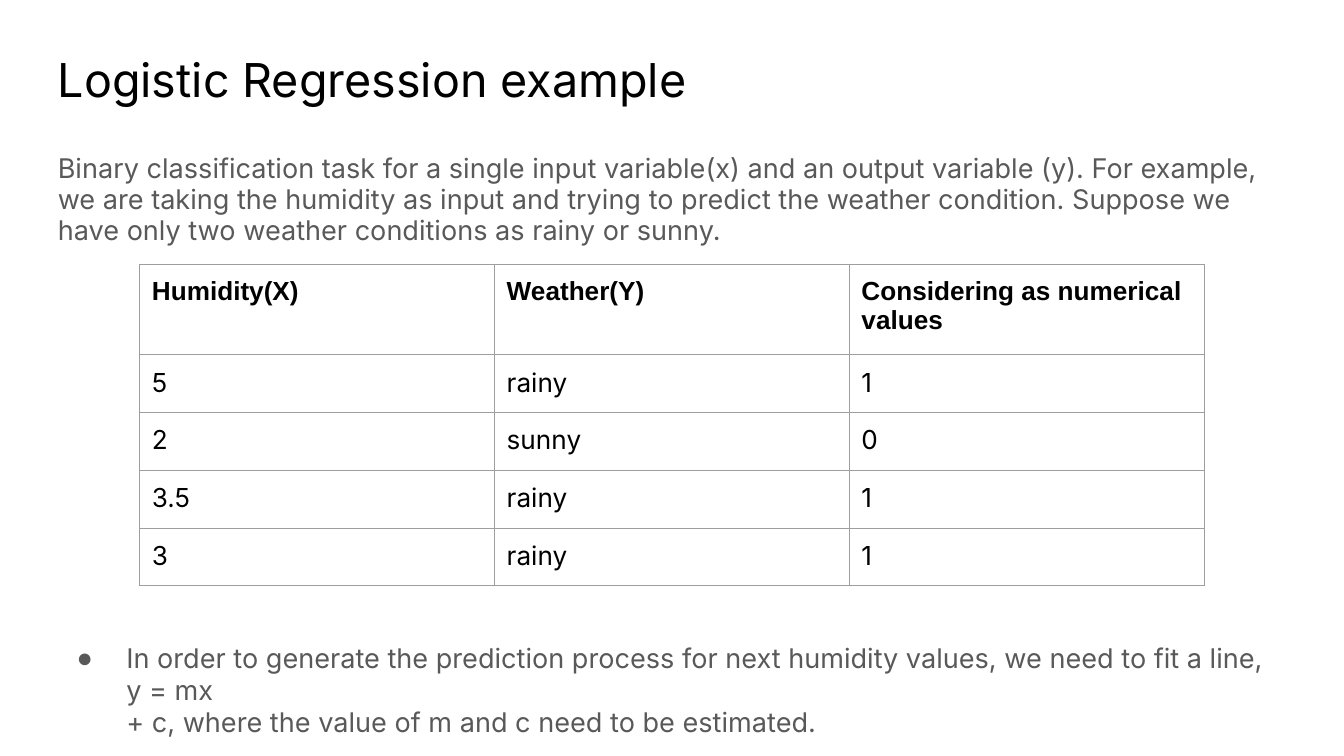
from dataclasses import dataclass

import lxml.etree
import pptx
import pptx.dml.color
import pptx.oxml.ns
import pptx.util

BLACK = pptx.dml.color.RGBColor(0x00, 0x00, 0x00)
GRAY = pptx.dml.color.RGBColor(0x59, 0x59, 0x59)
BORDER = pptx.dml.color.RGBColor(0x9E, 0x9E, 0x9E)
Inches = pptx.util.Inches
qn = pptx.oxml.ns.qn

HEADER = ("Humidity(X)", "Weather(Y)", "Considering as numerical values")
OBSERVATIONS = (
    ("5", "rainy", "1"),
    ("2", "sunny", "0"),
    ("3.5", "rainy", "1"),
    ("3", "rainy", "1"),
)


@dataclass(frozen=True)
class TextBlock:
    left: float
    top: float
    width: float
    height: float
    lines: tuple[str, ...]
    size: float
    color: pptx.dml.color.RGBColor
    inset: float
    space_before: float
    line_spacing: float | None = None
    margin: float = 0.01
    bullet_indent: float = 0


BLOCKS = (
    TextBlock(0.42, 0.36, 8.99, 0.65, ("Logistic Regression example",),
              25, BLACK, 0.02, 1.2),
    TextBlock(0.42, 1.11, 9.09, 0.73, (
        "Binary classification task for a single input variable(x) and an output "
        "variable (y). For example, we are taking the humidity as input and trying "
        "to predict the weather condition. Suppose we have only two weather "
        "conditions as rainy or sunny.",), 14.5, GRAY, 0.03, 2.3, 16.6),
    TextBlock(0.55, 4.76, 8.98, 0.5, (
        "In order to generate the prediction process for next humidity values, "
        "we need to fit a line, y = mx",
        "+ c, where the value of m and c need to be estimated."),
        14.5, GRAY, 0.02, 1.1, 17, 0.39, -0.37),
)


def set_insets(holder, top: float) -> None:
    holder.margin_left = holder.margin_right = holder.margin_bottom = 0
    holder.margin_top = Inches(top)


def style_paragraph(paragraph, font: str, size: float, color: pptx.dml.color.RGBColor,
                    margin: float, indent: float = 0, bold: bool = False) -> None:
    paragraph.font.name = font
    paragraph.font.size = pptx.util.Pt(size)
    paragraph.font.color.rgb = color
    paragraph.font.bold = bold
    properties = paragraph._p.get_or_add_pPr()
    properties.set("marL", str(Inches(margin)))
    properties.set("indent", str(Inches(indent)))


def add_bullet(paragraph) -> None:
    run_defaults = paragraph._p.get_or_add_pPr().find(qn("a:defRPr"))
    run_defaults.addprevious(lxml.etree.Element(qn("a:buFont"), typeface="Arial"))
    run_defaults.addprevious(lxml.etree.Element(qn("a:buChar"), char="●"))


def add_text_block(slide, block: TextBlock) -> None:
    frame = slide.shapes.add_textbox(Inches(block.left), Inches(block.top),
                                     Inches(block.width), Inches(block.height)).text_frame
    frame.word_wrap = True
    set_insets(frame, block.inset)
    frame.text = "\n".join(block.lines)
    for index, paragraph in enumerate(frame.paragraphs):
        first = index == 0
        if block.line_spacing:
            paragraph.line_spacing = pptx.util.Pt(block.line_spacing)
        paragraph.space_before = pptx.util.Pt(block.space_before if first else 0)
        style_paragraph(paragraph, "Inter", block.size, block.color, block.margin,
                        block.bullet_indent if first else 0)
        if first and block.bullet_indent:
            add_bullet(paragraph)


def add_borders(cell) -> None:
    properties = cell._tc.get_or_add_tcPr()
    for position, side in enumerate(("lnL", "lnR", "lnT", "lnB")):
        line = lxml.etree.Element(qn(f"a:{side}"), w=str(pptx.util.Pt(0.75)))
        fill = lxml.etree.SubElement(line, qn("a:solidFill"))
        lxml.etree.SubElement(fill, qn("a:srgbClr"), val=str(BORDER))
        properties.insert(position, line)


def add_weather_table(slide) -> None:
    rows = (HEADER, *OBSERVATIONS)
    table = slide.shapes.add_table(len(rows), len(HEADER), Inches(1.04), Inches(1.97),
                                   Inches(7.92), Inches(2.4)).table
    table.first_row = table.horz_banding = False
    for row_index, values in enumerate(rows):
        is_header = row_index == 0
        table.rows[row_index].height = Inches(0.67 if is_header else 0.43)
        for column_index, value in enumerate(values):
            cell = table.cell(row_index, column_index)
            cell.text = value
            cell.fill.background()
            set_insets(cell, 0.09)
            add_borders(cell)
            paragraph = cell.text_frame.paragraphs[0]
            paragraph.space_before = pptx.util.Pt(6.2)
            style_paragraph(paragraph, "Arial" if is_header else "Inter", 14, BLACK,
                            0.09, bold=is_header)


def main() -> None:
    """Build the logistic regression example slide."""
    presentation = pptx.Presentation()
    presentation.slide_width = Inches(10)
    presentation.slide_height = Inches(10) * 9 // 16
    slide = presentation.slides.add_slide(presentation.slide_layouts[6])
    for block in BLOCKS:
        add_text_block(slide, block)
    add_weather_table(slide)
    presentation.save("out.pptx")


if __name__ == "__main__":
    main()
